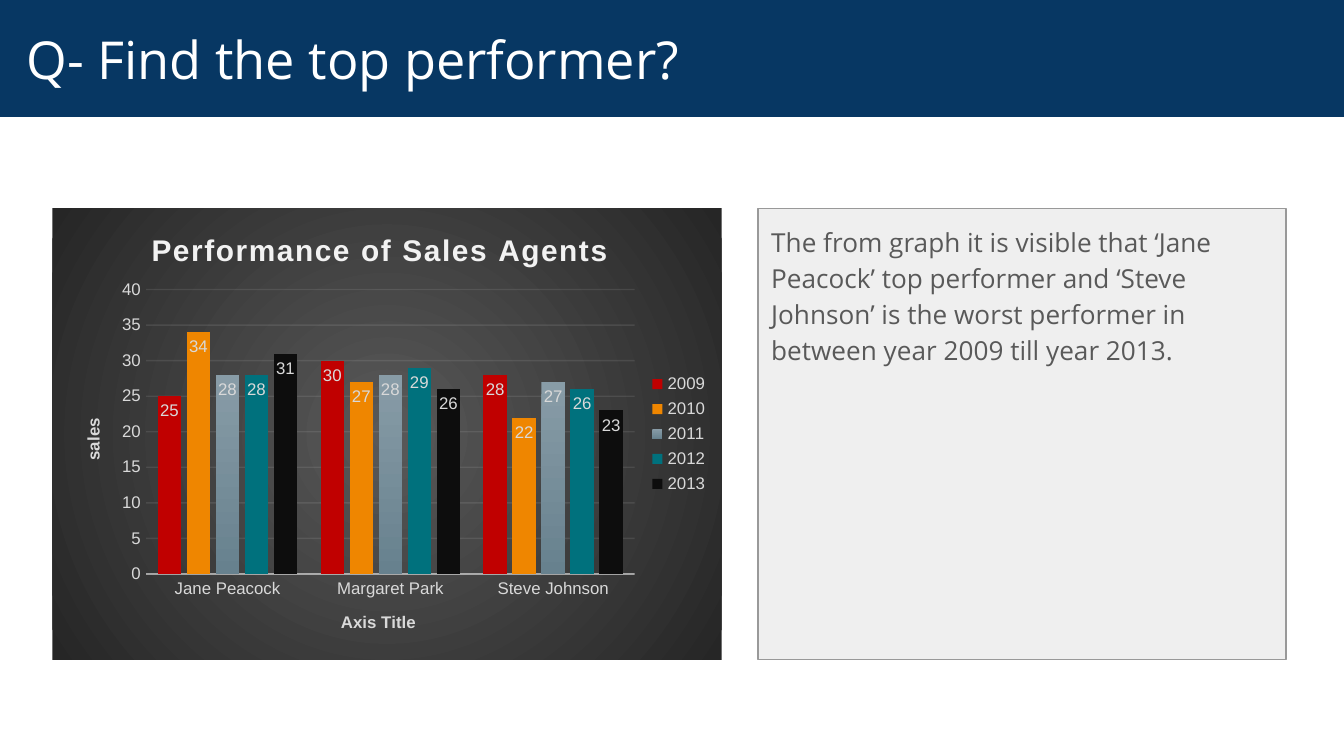
from lxml import etree
from pptx import Presentation
from pptx.chart.data import CategoryChartData
from pptx.dml.color import RGBColor
from pptx.enum.chart import XL_CHART_TYPE as ChartType
from pptx.enum.chart import XL_LABEL_POSITION as LabelPosition
from pptx.enum.chart import XL_LEGEND_POSITION as LegendPosition
from pptx.enum.chart import XL_TICK_MARK as TickMark
from pptx.enum.shapes import MSO_SHAPE
from pptx.enum.text import MSO_ANCHOR, MSO_AUTO_SIZE, PP_ALIGN
from pptx.oxml import parse_xml
from pptx.oxml.ns import nsdecls, qn
from pptx.util import Inches, Pt


def color(hex_string):
    return RGBColor.from_string(hex_string)


def style_font(font, name, size, hex_string, bold=False):
    font.name = name
    font.size = Pt(size)
    font.bold = bold
    font.color.rgb = color(hex_string)


presentation = Presentation()
presentation.slide_width = Inches(10)
presentation.slide_height = Inches(10) * 9 // 16
slide = presentation.slides.add_slide(presentation.slide_layouts[5])

# Title band
title = slide.shapes.title
title.left, title.top = Inches(0), Inches(0)
title.width, title.height = Inches(10), Inches(0.87)
title.fill.solid()
title.fill.fore_color.rgb = color("073763")
title_frame = title.text_frame
title_frame.auto_size = MSO_AUTO_SIZE.NONE
title_frame.vertical_anchor = MSO_ANCHOR.MIDDLE
title_frame.margin_left = Inches(0.2)
paragraph = title_frame.paragraphs[0]
paragraph.alignment = PP_ALIGN.LEFT
run = paragraph.add_run()
run.text = "Q- Find the top performer?"
style_font(run.font, "Open Sans", 28, "FFFFFF")

# Finding
finding = slide.shapes.add_shape(
    MSO_SHAPE.RECTANGLE, Inches(5.64), Inches(1.55), Inches(3.93), Inches(3.36))
finding.shadow.inherit = False
finding.fill.solid()
finding.fill.fore_color.rgb = color("EFEFEF")
finding.line.color.rgb = color("999999")
finding.line.width = Pt(0.75)
frame = finding.text_frame
frame.word_wrap = True
frame.vertical_anchor = MSO_ANCHOR.TOP
frame.margin_left = frame.margin_right = Inches(0.1)
frame.margin_top = frame.margin_bottom = Inches(0.1)
paragraph = frame.paragraphs[0]
paragraph.alignment = PP_ALIGN.LEFT
paragraph.line_spacing = 1.15
paragraph.space_after = Pt(16)
run = paragraph.add_run()
run.text = ("The from graph it is visible that ‘Jane Peacock’ top performer and "
            "‘Steve Johnson’ is the worst performer in between year 2009 till year 2013.")
style_font(run.font, "Open Sans", 14, "595959")

# Chart data
sales_by_year = {
    "2009": ([25, 30, 28], "C00000"),
    "2010": ([34, 27, 22], "EF8600"),
    "2011": ([28, 28, 27], None),
    "2012": ([28, 29, 26], "00717D"),
    "2013": ([31, 26, 23], "0D0D0D"),
}
chart_data = CategoryChartData()
chart_data.categories = ["Jane Peacock", "Margaret Park", "Steve Johnson"]
for year, (sales, _) in sales_by_year.items():
    chart_data.add_series(year, sales)
chart = slide.shapes.add_chart(
    ChartType.COLUMN_CLUSTERED, Inches(0.39), Inches(1.55),
    Inches(4.98), Inches(3.36), chart_data).chart
style_font(chart.font, "Arial", 9, "D9D9D9")

# Columns and labels
plot = chart.plots[0]
plot.vary_by_categories = False
plot.gap_width = 100
plot.overlap = -24
for series, (_, fill_color) in zip(plot.series, sales_by_year.values()):
    fill = series.format.fill
    if fill_color:
        fill.solid()
        fill.fore_color.rgb = color(fill_color)
    else:
        fill.gradient()
        fill.gradient_angle = 270
        for stop, stop_color in zip(fill.gradient_stops, ("889CA7", "67818E")):
            stop.color.rgb = color(stop_color)
    labels = series.data_labels
    labels.show_value = True
    labels.position = LabelPosition.INSIDE_END
    style_font(labels.font, "Arial", 9, "D9D9D9")

# Axes, with translucent lines
value_axis, category_axis = chart.value_axis, chart.category_axis
value_axis.minimum_scale, value_axis.maximum_scale = 0, 40
value_axis.major_unit = 5
value_axis.format.line.fill.background()
for axis, axis_title, line, width, alpha in (
        (value_axis, "sales", value_axis.major_gridlines.format.line, 0.75, 10),
        (category_axis, "Axis Title", category_axis.format.line, 1, 54)):
    axis.major_tick_mark = axis.minor_tick_mark = TickMark.NONE
    style_font(axis.tick_labels.font, "Arial", 9, "D9D9D9")
    run = axis.axis_title.text_frame.paragraphs[0].add_run()
    run.text = axis_title
    style_font(run.font, "Arial", 9, "D9D9D9", bold=True)
    line.width = Pt(width)
    line.color.rgb = color("F2F2F2")
    for rgb in line.fill._xPr.iter(qn("a:srgbClr")):
        etree.SubElement(rgb, qn("a:alpha")).set("val", str(alpha * 1000))

# Chart title and legend
chart.has_title = True
chart.chart_title.include_in_layout = False
run = chart.chart_title.text_frame.paragraphs[0].add_run()
run.text = "Performance of Sales Agents"
style_font(run.font, "Arial", 16, "F2F2F2", bold=True)
run.font._element.set("spc", "100")
chart.has_legend = True
chart.legend.position = LegendPosition.RIGHT
chart.legend.include_in_layout = False
style_font(chart.legend.font, "Arial", 9, "D9D9D9")

# Title and plot placement, as fractions of the chart
chart_part = chart._chartSpace.find(qn("c:chart"))
for name, index, placement in (
        ("c:title", 1, {"xMode": "edge", "yMode": "edge", "x": 0.14, "y": 0.04}),
        ("c:plotArea", 0, {"layoutTarget": "inner", "xMode": "edge", "yMode": "edge",
                           "x": 0.14, "y": 0.18, "w": 0.73, "h": 0.63})):
    parent = chart_part.find(qn(name))
    for old_layout in parent.findall(qn("c:layout")):
        parent.remove(old_layout)
    layout = parse_xml(f'<c:layout {nsdecls("c")}><c:manualLayout/></c:layout>')
    for key, value in placement.items():
        etree.SubElement(layout[0], qn(f"c:{key}")).set("val", str(value))
    parent.insert(index, layout)

# Radial chart background
background = parse_xml(
    f'<c:spPr {nsdecls("c", "a")}><a:gradFill><a:gsLst>'
    '<a:gs pos="0"><a:srgbClr val="595959"/></a:gs>'
    '<a:gs pos="100000"><a:srgbClr val="262626"/></a:gs></a:gsLst>'
    '<a:path path="circle"><a:fillToRect l="50000" t="50000" r="50000" b="50000"/></a:path>'
    '</a:gradFill><a:ln><a:noFill/></a:ln></c:spPr>')
chart_part.addnext(background)

presentation.save("out.pptx")
